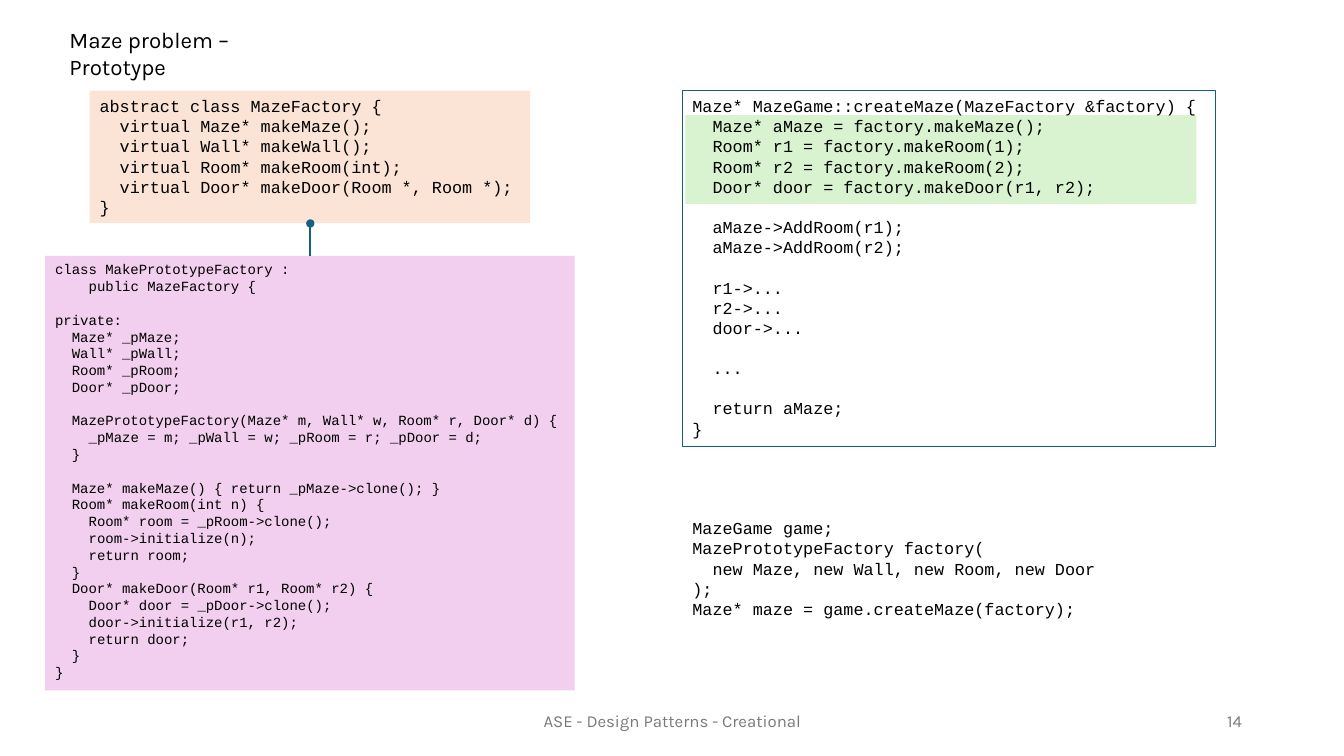
"""Builds the slide on the Prototype solution to the maze problem."""
from lxml.etree import SubElement
from pptx import Presentation
from pptx.dml.color import RGBColor
from pptx.enum.shapes import MSO_CONNECTOR, MSO_SHAPE
from pptx.enum.text import MSO_ANCHOR, PP_ALIGN
from pptx.oxml.ns import qn
from pptx.util import Cm, Pt

BASE = """abstract class MazeFactory {
  virtual Maze* makeMaze();
  virtual Wall* makeWall();
  virtual Room* makeRoom(int);
  virtual Door* makeDoor(Room *, Room *);
}"""

GAME = """Maze* MazeGame::createMaze(MazeFactory &factory) {
  Maze* aMaze = factory.makeMaze();
  Room* r1 = factory.makeRoom(1);
  Room* r2 = factory.makeRoom(2);
  Door* door = factory.makeDoor(r1, r2);

  aMaze->AddRoom(r1);
  aMaze->AddRoom(r2);

  r1->...
  r2->...
  door->...

  ...

  return aMaze;
}"""

PROTO = """class MakePrototypeFactory :
    public MazeFactory {

private:
  Maze* _pMaze;
  Wall* _pWall;
  Room* _pRoom;
  Door* _pDoor;

  MazePrototypeFactory(Maze* m, Wall* w, Room* r, Door* d) {
    _pMaze = m; _pWall = w; _pRoom = r; _pDoor = d;
  }

  Maze* makeMaze() { return _pMaze->clone(); }
  Room* makeRoom(int n) {
    Room* room = _pRoom->clone();
    room->initialize(n);
    return room;
  }
  Door* makeDoor(Room* r1, Room* r2) {
    Door* door = _pDoor->clone();
    door->initialize(r1, r2);
    return door;
  }
}"""

USAGE = """MazeGame game;
MazePrototypeFactory factory(
  new Maze, new Wall, new Room, new Door
);
Maze* maze = game.createMaze(factory);"""

LABELS = [
    ("ASE - Design Patterns - Creational", (11.23, 17.65, 11.43, 1.02), 12,
     "797979", PP_ALIGN.CENTER, MSO_ANCHOR.MIDDLE),
    ("14", (23.93, 17.65, 7.62, 1.02), 12,
     "797979", PP_ALIGN.RIGHT, MSO_ANCHOR.MIDDLE),
    ("Maze problem – Prototype", (1.5, 0.53, 6.86, 0.94), 16,
     "000000", PP_ALIGN.LEFT, MSO_ANCHOR.TOP),
]
BLOCKS = [
    (BASE, (2.26, 2.29, 11.1, 3.33), 12, "FBE3D6", None),
    ("", (17.27, 2.9, 12.88, 2.24), 12, "D9F2D0", None),
    (GAME, (17.2, 2.29, 13.44, 8.97), 12, None, "156082"),
    (PROTO, (1.14, 6.45, 13.34, 10.95), 10, "F2CFEE", None),
]
USE_AT = (17.2, 12.93, 10.85, 2.82)
LINK = (7.82, 6.45, 7.82, 5.63)
LEAD, CHAR = 1.2, 0.6


def color(code):
    return RGBColor.from_string(code)


def style(para, face, size, tint):
    for run in para.runs:
        run.font.name = face
        run.font.size = Pt(size)
        run.font.color.rgb = color(tint)


def write(frame, code, size):
    frame.word_wrap = True
    frame.vertical_anchor = MSO_ANCHOR.TOP
    lines = code.split("\n")
    frame.text = "\n".join(line.strip() for line in lines if line)
    paras = iter(frame.paragraphs)
    gap = 0
    for line in lines:
        if not line:
            gap += 1
            continue
        para = next(paras)
        para.alignment = PP_ALIGN.LEFT
        para.line_spacing = Pt(LEAD * size)
        para.space_before = Pt(gap * LEAD * size)
        depth = len(line) - len(line.lstrip())
        props = para._p.get_or_add_pPr()
        props.set("marL", str(Pt(depth * CHAR * size)))
        props.set("indent", "0")
        style(para, "Courier New", size, "000000")
        gap = 0


def label(slide, text, at, size, tint, align, anchor):
    frame = slide.shapes.add_textbox(*map(Cm, at)).text_frame
    frame.word_wrap = True
    frame.vertical_anchor = anchor
    frame.text = text
    para = frame.paragraphs[0]
    para.alignment = align
    style(para, "Karla", size, tint)


def block(slide, code, at, size, fill, edge):
    box = slide.shapes.add_shape(MSO_SHAPE.RECTANGLE, *map(Cm, at))
    box.shadow.inherit = False
    if fill:
        box.fill.solid()
        box.fill.fore_color.rgb = color(fill)
    else:
        box.fill.background()
    if edge:
        box.line.color.rgb = color(edge)
        box.line.width = Pt(0.75)
    else:
        box.line.fill.background()
    if code:
        write(box.text_frame, code, size)


def link(slide, ends):
    line = slide.shapes.add_connector(MSO_CONNECTOR.STRAIGHT, *map(Cm, ends))
    line.line.color.rgb = color("156082")
    line.line.width = Pt(1.5)
    SubElement(line.line._get_or_add_ln(), qn("a:tailEnd"), type="oval")
    SubElement(line._element.spPr, qn("a:effectLst"))


def main():
    deck = Presentation()
    deck.slide_width, deck.slide_height = Cm(33.87), Cm(19.05)
    slide = deck.slides.add_slide(deck.slide_layouts[6])
    for item in LABELS:
        label(slide, *item)
    for item in BLOCKS:
        block(slide, *item)
    link(slide, LINK)
    usage = slide.shapes.add_textbox(*map(Cm, USE_AT))
    write(usage.text_frame, USAGE, 12)
    deck.save("out.pptx")


if __name__ == "__main__":
    main()
